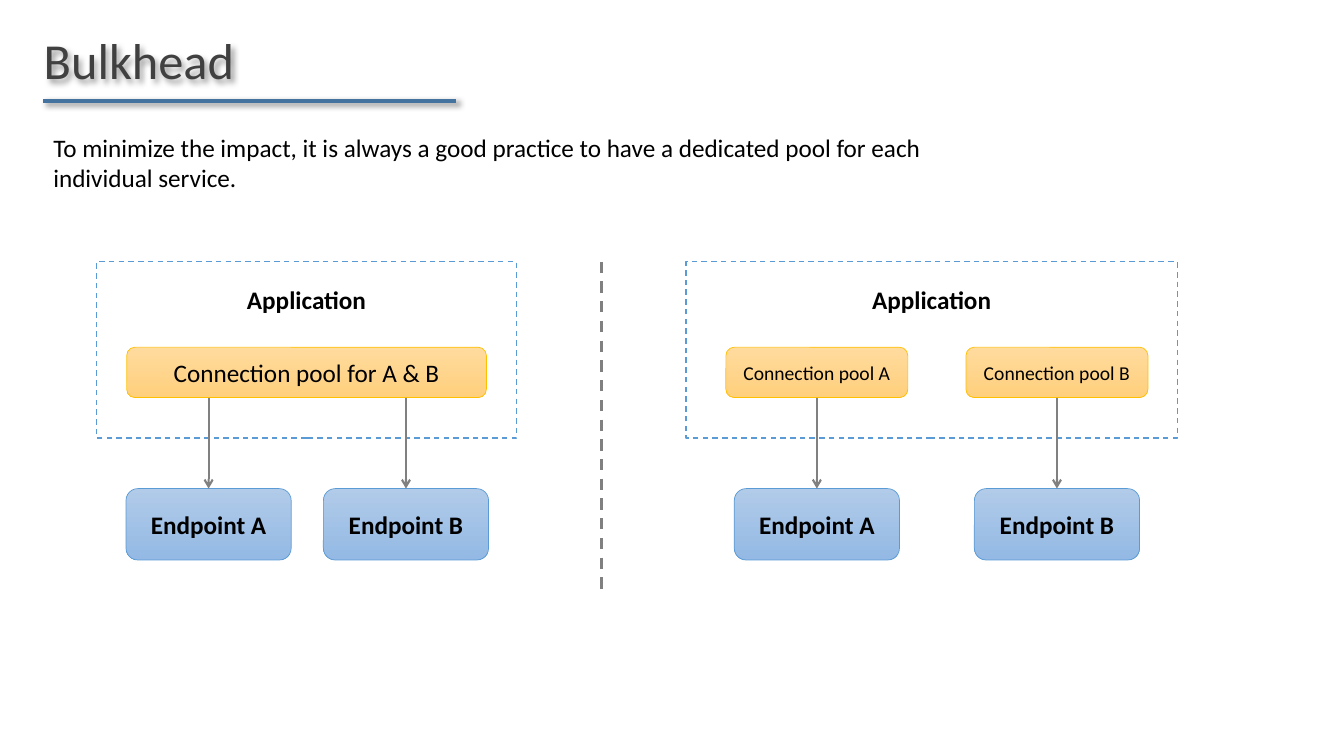
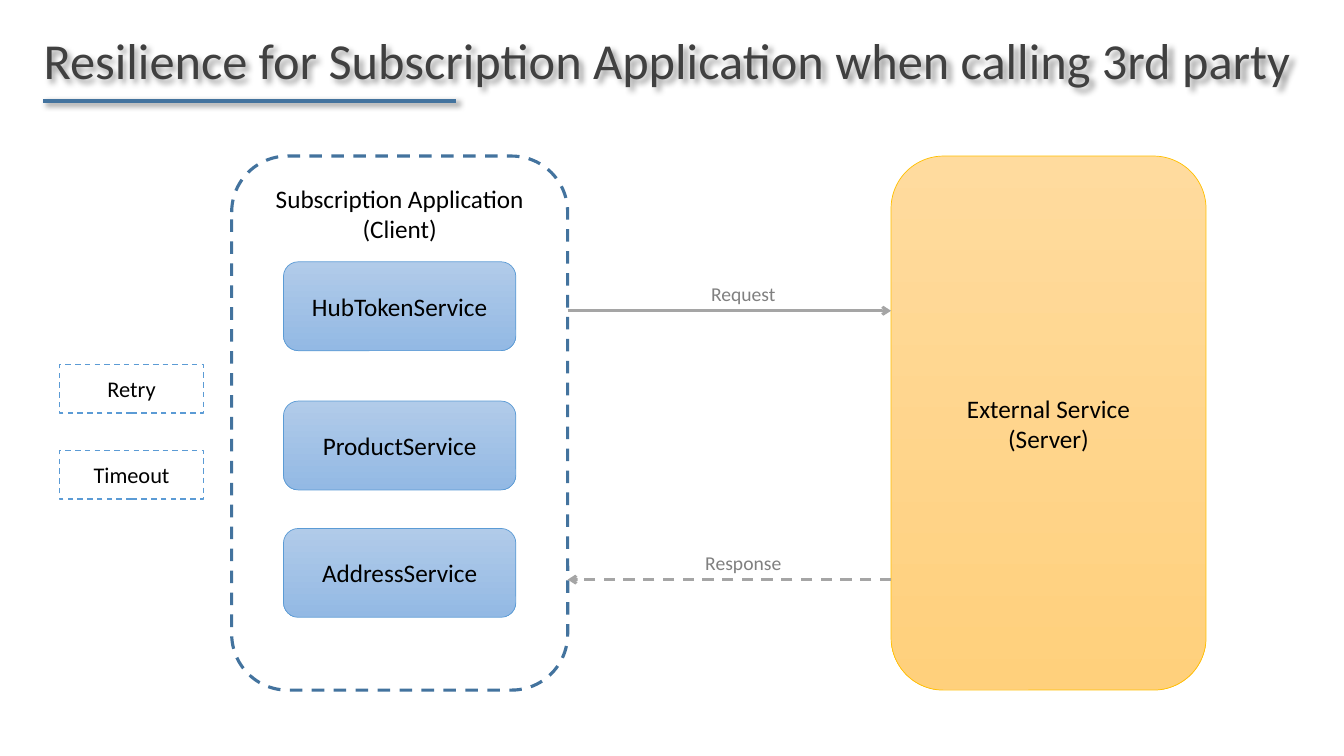
from lxml.etree import SubElement
from pptx import Presentation
from pptx.dml.color import RGBColor
from pptx.enum.dml import MSO_LINE
from pptx.enum.shapes import MSO_CONNECTOR, MSO_SHAPE
from pptx.enum.text import MSO_ANCHOR, MSO_AUTO_SIZE, PP_ALIGN
from pptx.oxml import parse_xml
from pptx.oxml.ns import nsdecls, qn
from pptx.util import Pt

FONT = "Calibri"
BLACK = RGBColor(0x00, 0x00, 0x00)
WHITE = RGBColor(0xFF, 0xFF, 0xFF)
CHARCOAL = RGBColor(0x40, 0x40, 0x40)
GRAY = RGBColor(0x80, 0x80, 0x80)
SILVER = RGBColor(0xA5, 0xA5, 0xA5)
BLUE = RGBColor(0x5B, 0x9B, 0xD5)
DEEP_BLUE = RGBColor(0x43, 0x73, 0x9E)
BLUE_TOP = RGBColor(0xB1, 0xCB, 0xE9)
BLUE_BOTTOM = RGBColor(0x93, 0xB9, 0xE4)
AMBER = RGBColor(0xFF, 0xC0, 0x00)
AMBER_TOP = RGBColor(0xFF, 0xDB, 0x9E)
AMBER_BOTTOM = RGBColor(0xFF, 0xD0, 0x7C)

BLUE_STYLE = {"fill": (BLUE_TOP, BLUE_BOTTOM), "line": BLUE}
AMBER_STYLE = {"fill": (AMBER_TOP, AMBER_BOTTOM), "line": AMBER}

TOP, BOTTOM = 0, 2


def effect_list(shadow=False):
    """Return an a:effectLst, empty or holding the soft title shadow."""
    effects = parse_xml(f"<a:effectLst {nsdecls('a')}/>")
    if shadow:
        outer = SubElement(effects, qn("a:outerShdw"), blurRad=str(Pt(4)),
                           dist=str(Pt(3)), dir="2700000", algn="tl", rotWithShape="0")
        color = SubElement(outer, qn("a:srgbClr"), val=str(BLACK))
        SubElement(color, qn("a:alpha"), val="40000")
    return effects


def write(frame, text, size=18, color=BLACK, bold=False, align=PP_ALIGN.CENTER,
          anchor=MSO_ANCHOR.TOP):
    """Fill a text frame: a newline starts a paragraph, a \\v breaks a line."""
    frame.word_wrap = True
    frame.vertical_anchor = anchor
    for index, line in enumerate(text.split("\n")):
        paragraph = frame.add_paragraph() if index else frame.paragraphs[0]
        paragraph.text = line
        paragraph.alignment = align
        for span in paragraph.runs:
            span.font.name = FONT
            span.font.size = Pt(size)
            span.font.bold = bold
            span.font.color.rgb = color


def set_line(line, color, width, dashed):
    line.color.rgb = color
    line.width = Pt(width)
    if dashed:
        line.dash_style = MSO_LINE.DASH


class Page:
    """The current slide and the style of its elements; lengths in points."""

    def __init__(self, deck, title):
        self.slide = deck.slides.add_slide(deck.slide_layouts[5])
        self.shapes = self.slide.shapes
        self.add_title(title)

    def add_title(self, text):
        """Format the title; on an unfilled shape the shadow falls from the text."""
        title = self.shapes.title
        title.left, title.top, title.width, title.height = map(Pt, (24, 17, 918, 51))
        title.fill.background()
        title._element.spPr.append(effect_list(shadow=True))
        title.text_frame.auto_size = MSO_AUTO_SIZE.NONE
        write(title.text_frame, text, size=36, color=CHARCOAL, align=PP_ALIGN.LEFT)
        self.add_line((31, 72), (326, 72), DEEP_BLUE, width=3, shadow=True)

    def add_box(self, left, top, width, height, text="", fill=None, line=BLUE,
                line_width=0.5, dashed=False, rounded=True, **text_format):
        """Draw a box; fill is a (top, bottom) colour pair, or white if missing."""
        kind = MSO_SHAPE.ROUNDED_RECTANGLE if rounded else MSO_SHAPE.RECTANGLE
        box = self.shapes.add_shape(kind, *map(Pt, (left, top, width, height)))
        box.shadow.inherit = False
        if fill:
            box.fill.gradient()
            box.fill.gradient_angle = 270
            for stop, color in zip(box.fill.gradient_stops, fill):
                stop.color.rgb = color
        else:
            box.fill.solid()
            box.fill.fore_color.rgb = WHITE
        set_line(box.line, line, line_width, dashed)
        if text:
            write(box.text_frame, text, anchor=MSO_ANCHOR.MIDDLE, **text_format)
        return box

    def add_outline(self, left, top, width, height, text="", **text_format):
        """Draw a thin dashed rectangle."""
        return self.add_box(left, top, width, height, text, line=BLUE, line_width=1,
                            dashed=True, rounded=False, **text_format)

    def add_text(self, left, top, width, height, text, **text_format):
        box = self.shapes.add_textbox(*map(Pt, (left, top, width, height)))
        write(box.text_frame, text, **text_format)

    def add_line(self, start, end, color, width=1.5, dashed=False, arrow=False,
                 shadow=False):
        line = self.shapes.add_connector(MSO_CONNECTOR.STRAIGHT, *map(Pt, start + end))
        set_line(line.line, color, width, dashed)
        properties = line._element.spPr
        if arrow:
            SubElement(properties.find(qn("a:ln")), qn("a:tailEnd"), type="arrow")
        properties.append(effect_list(shadow))
        return line


def build_bulkhead(deck):
    page = Page(deck, "Bulkhead")
    page.add_text(31, 91, 703, 51,
                  "To minimize the impact, it is always a good practice to have a "
                  "dedicated pool for each individual service.", align=PP_ALIGN.LEFT)

    pool_top, pool_height, endpoint_top = 248, 36, 349
    applications = [
        (69, 300, (149, 290), [(219, 257, "Connection pool for A & B", 18)]),
        (490, 351, (583.5, 755), [(583.5, 130, "Connection pool A", 14),
                                  (755, 130, "Connection pool B", 14)]),
    ]
    for left, width, endpoint_centers, pools in applications:
        page.add_outline(left, 187, width, 126)
        page.add_text(left + width / 2 - 76, 199.5, 152, 29, "Application", bold=True)
        pool_boxes = [
            page.add_box(center - pool_width / 2, pool_top, pool_width, pool_height,
                         text, size=size, **AMBER_STYLE)
            for center, pool_width, text, size in pools
        ]
        for index, (center, name) in enumerate(zip(endpoint_centers, "AB")):
            endpoint = page.add_box(center - 59, endpoint_top, 118, 51,
                                    f"Endpoint {name}", bold=True, **BLUE_STYLE)
            arrow = page.add_line((center, pool_top + pool_height),
                                  (center, endpoint_top), GRAY, arrow=True)
            if len(pool_boxes) > 1:
                arrow.begin_connect(pool_boxes[index], BOTTOM)
            arrow.end_connect(endpoint, TOP)

    page.add_line((429.5, 187), (429.5, 420.5), GRAY, width=2, dashed=True)


def build_resilience(deck):
    page = Page(deck, "Resilience for Subscription Application when calling 3rd party")
    top, height = 111.5, 381.5
    client_left, client_width, server_left = 165.5, 240, 636.5
    client_right = client_left + client_width
    client_center = client_left + client_width / 2

    page.add_box(client_left, top, client_width, height, line=DEEP_BLUE,
                 line_width=2.25, dashed=True)
    page.add_box(server_left, top, 225, height, "External Service\n(Server)",
                 **AMBER_STYLE)
    page.add_text(client_center - 105, 127.5, 210, 51,
                  "Subscription Application\v(Client)")

    for tag_top, text in ((260.5, "Retry"), (322, "Timeout")):
        page.add_outline(42.5, tag_top, 103, 34.5, text, size=16)

    services = ((187, "HubTokenService"), (286.5, "ProductService"),
                (377.5, "AddressService"))
    for service_top, text in services:
        page.add_box(client_center - 83, service_top, 166, 63.5, text, **BLUE_STYLE)

    messages = (("Request", 222, client_right, server_left, False),
                ("Response", 414, server_left, client_right, True))
    for text, y, start, end, dashed in messages:
        page.add_line((start, y), (end, y), SILVER, width=2, dashed=dashed, arrow=True)
        page.add_text(481, y - 24, 100, 24, text, size=14, color=GRAY)


def main():
    deck = Presentation()
    deck.slide_width, deck.slide_height = Pt(960), Pt(540)
    build_bulkhead(deck)
    build_resilience(deck)
    deck.save("out.pptx")


if __name__ == "__main__":
    main()
